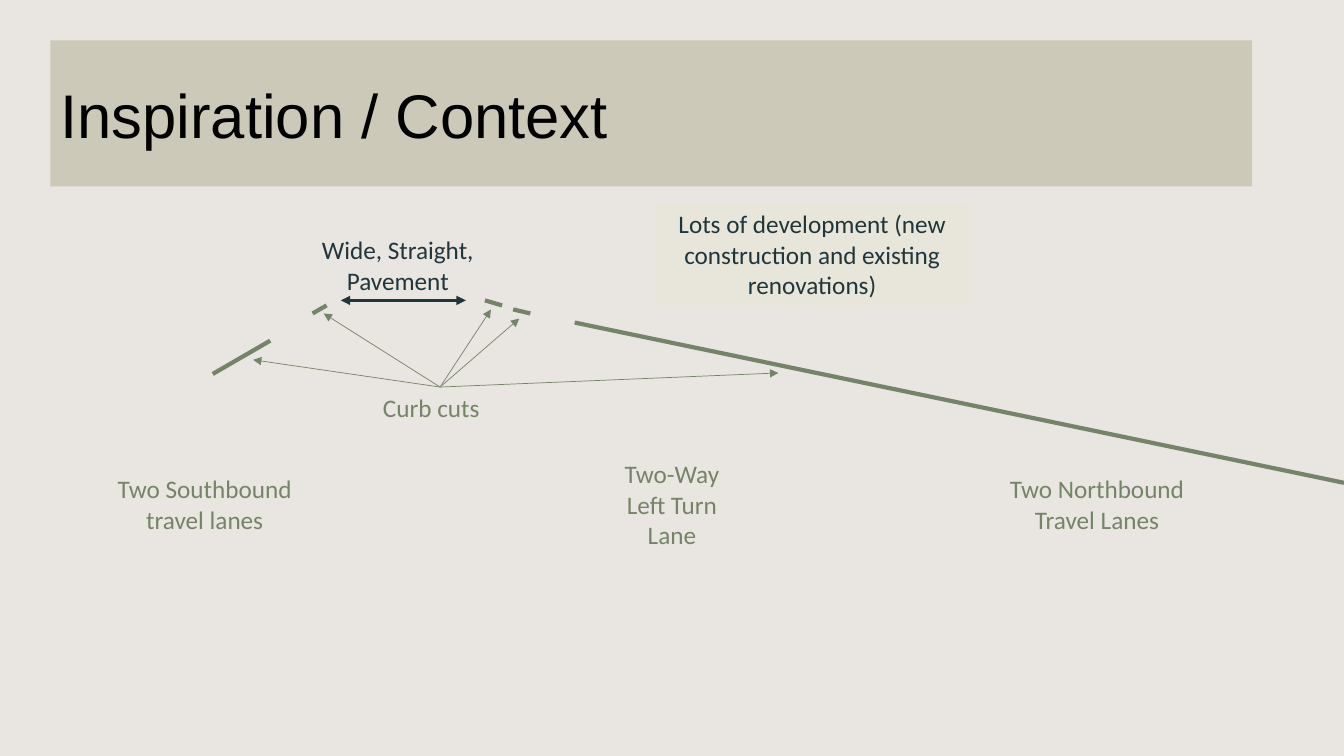
"""Build the street context slide."""
from collections import namedtuple

from lxml import etree
from pptx import Presentation
from pptx import util as u
from pptx.dml.color import RGBColor
from pptx.enum import shapes, text
from pptx.oxml.ns import qn

Box = namedtuple("Box", "left top width height")
COLUMN = ROW = u.Inches(1)
COLORS = {
    "background": "E9E5E1",
    "band": "767640",
    "callout": "E8E8D4",
    "title": "000000",
    "sage": "758468",
    "ink": "21363B",
}


def color(name):
    """Return a named colour."""
    return RGBColor.from_string(COLORS[name])


def within(region, left, top, width, height):
    """Return a box offset from the corner of a region."""
    return Box(region.left + left, region.top + top, width, height)


def grid(box):
    """Convert grid columns and rows to slide lengths."""
    return [round(value * unit) for value, unit in zip(box, (COLUMN, ROW) * 2)]


def add_text(slide, box, words, size=18, font="Calibri", ink="sage",
             align=text.PP_ALIGN.CENTER, anchor=text.MSO_ANCHOR.TOP,
             fit=text.MSO_AUTO_SIZE.SHAPE_TO_FIT_TEXT, fill=None, opacity=100):
    """Add wrapped text, on a translucent panel when a fill is given."""
    if fill:
        shape = slide.shapes.add_shape(shapes.MSO_SHAPE.RECTANGLE, *grid(box))
        shape.shadow.inherit = False
        shape.line.fill.background()
        shape.fill.solid()
        shape.fill.fore_color.rgb = color(fill)
        tint = shape.fill._xPr.find(qn("a:solidFill"))[0]
        etree.SubElement(tint, qn("a:alpha"), val=str(opacity * 1000))
    else:
        shape = slide.shapes.add_textbox(*grid(box))
    frame = shape.text_frame
    frame.word_wrap = True
    frame.auto_size = fit
    frame.vertical_anchor = anchor
    paragraph = frame.paragraphs[0]
    paragraph.text = words
    paragraph.alignment = align
    paragraph.font.size = u.Pt(size)
    paragraph.font.name = font
    paragraph.font.color.rgb = color(ink)
    return shape


def add_line(slide, region, start, end, ink="sage", width=3, arrows=()):
    """Add a straight line with optional head and tail arrows."""
    points = grid((region.left + start[0], region.top + start[1],
                   region.left + end[0], region.top + end[1]))
    line = slide.shapes.add_connector(shapes.MSO_CONNECTOR.STRAIGHT, *points)
    line.line.color.rgb = color(ink)
    line.line.width = u.Pt(width)
    outline = line.line._get_or_add_ln()
    for arrow in arrows:
        etree.SubElement(outline, qn(f"a:{arrow}"), type="triangle")
    etree.SubElement(line._element.spPr, qn("a:effectLst"))
    return line


def add_title(slide, box):
    """Add the title band."""
    add_text(slide, box, "Inspiration / Context", size=44, font="Arial",
             ink="title", align=text.PP_ALIGN.LEFT,
             anchor=text.MSO_ANCHOR.MIDDLE, fit=text.MSO_AUTO_SIZE.NONE,
             fill="band", opacity=25)


def add_lanes(slide, region):
    """Label the travel lanes."""
    for words, place in (
        ("Two-Way Left Turn Lane", (6, 0, 1.33, 1.01)),
        ("Two Northbound Travel Lanes", (9.79, 0.15, 2.18, 0.71)),
        ("Two Southbound travel lanes", (0.92, 0.15, 2.22, 0.71)),
    ):
        add_text(slide, within(region, *place), words)


def add_curbs(slide, region):
    """Draw the curb edges and point to the cuts between them."""
    for start, end in (
        ((2.68, 1.38), (2.11, 1.71)),
        ((5.7, 1.2), (13.33, 2.79)),
        ((5.26, 1.11), (5.09, 1.07)),
        ((4.98, 1.03), (4.81, 0.98)),
        ((3.24, 1.03), (3.1, 1.11)),
    ):
        add_line(slide, region, start, end)
    label = add_text(slide, within(region, 3.7, 1.84, 1.33, 0.4),
                     "Curb cuts", align=text.PP_ALIGN.LEFT)
    for cut in ((3.21, 1.11), (2.51, 1.57), (4.87, 1.07),
                (5.15, 1.16), (7.72, 1.7)):
        pointer = add_line(slide, region, (4.37, 1.84), cut, width=0.5,
                           arrows=("tailEnd",))
        pointer.begin_connect(label, 0)


def add_remarks(slide, region):
    """Add the pavement and development remarks."""
    add_line(slide, region, (3.38, 0.98), (4.62, 0.98), ink="ink", width=2.25,
             arrows=("headEnd", "tailEnd"))
    add_text(slide, within(region, 2.99, 0.28, 1.91, 0.71),
             "Wide, Straight, Pavement", ink="ink")
    add_text(slide, within(region, 6.5, 0.02, 3.11, 1.01),
             "Lots of development (new construction and existing renovations)",
             ink="ink", fill="callout", opacity=50)


def main():
    """Assemble and save the slide."""
    presentation = Presentation()
    presentation.slide_width = u.Inches(13.33)
    presentation.slide_height = u.Inches(7.5)
    slide = presentation.slides.add_slide(presentation.slide_layouts[6])
    slide.background.fill.solid()
    slide.background.fill.fore_color.rgb = color("background")
    street = Box(0, 2, 13.33, 2.5)
    add_title(slide, Box(0.5, 0.4, 11.92, 1.45))
    add_lanes(slide, Box(0, 4.5, 13.33, 1.01))
    add_curbs(slide, street)
    add_remarks(slide, street)
    presentation.save("out.pptx")


if __name__ == "__main__":
    main()
